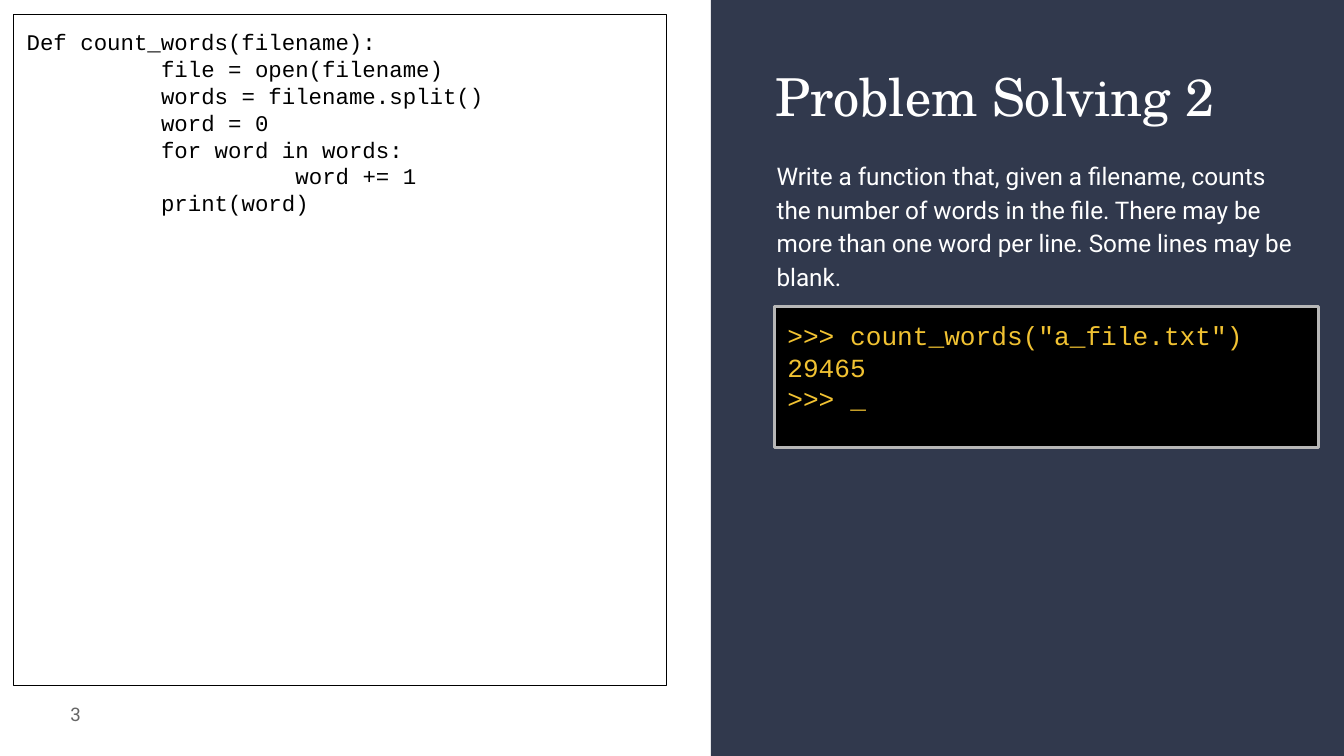
from pptx import Presentation
from pptx.dml.color import RGBColor
from pptx.enum import shapes, text
from pptx.util import Inches, Pt

WHITE = RGBColor(0xFF, 0xFF, 0xFF)
BLACK = RGBColor(0, 0, 0)
NAVY = RGBColor(0x31, 0x39, 0x4D)
GREY = RGBColor(0x66, 0x66, 0x66)
SILVER = RGBColor(0xB7, 0xB7, 0xB7)
AMBER = RGBColor(0xF1, 0xC2, 0x32)

PAGE_WIDTH = 10
PAGE_HEIGHT = PAGE_WIDTH * 9 / 16

CODE = """Def count_words(filename):
\tfile = open(filename)
\twords = filename.split()
\tword = 0
\tfor word in words:
\t\tword += 1
\tprint(word)"""
SESSION = """>>> count_words("a_file.txt")
29465
>>> """
TASK = ("Write a function that, given a filename, counts the number of words in the file. "
        "There may be more than one word per line. Some lines may be blank.")


def write(shape, words, font, size, color, align=text.PP_ALIGN.LEFT,
          anchor=text.MSO_ANCHOR.TOP):
    frame = shape.text_frame
    frame.text = words
    frame.word_wrap = True
    frame.auto_size = text.MSO_AUTO_SIZE.NONE
    frame.vertical_anchor = anchor
    frame.margin_left = frame.margin_right = Inches(0.1)
    frame.margin_top = frame.margin_bottom = Inches(0.1)
    for para in frame.paragraphs:
        para.alignment = align
        for span in para.runs:
            style(span, font, size, color)
    return frame


def style(span, font, size, color):
    span.font.name = font
    span.font.size = Pt(size)
    span.font.color.rgb = color


def add_box(page, left, top, width, height, fill=None, line=None, weight=0.75):
    """Add a rectangle; a missing fill or line stays empty."""
    box = page.shapes.add_shape(shapes.MSO_SHAPE.RECTANGLE, Inches(left), Inches(top),
                                Inches(width), Inches(height))
    box.shadow.inherit = False
    if fill is None:
        box.fill.background()
    else:
        box.fill.solid()
        box.fill.fore_color.rgb = fill
    if line is None:
        box.line.fill.background()
    else:
        box.line.color.rgb = line
        box.line.width = Pt(weight)
    return box


def add_text(page, left, top, width, height):
    return page.shapes.add_textbox(Inches(left), Inches(top), Inches(width), Inches(height))


def add_code_area(page, left, top, width, height):
    box = add_box(page, left, top, width, height, line=BLACK)
    frame = write(box, CODE, "Courier New", 12, BLACK)
    for para in frame.paragraphs:
        para._p.get_or_add_pPr().set("defTabSz", str(Inches(1)))
    number = add_text(page, left, top + height, 0.6, 0.43)
    write(number, "3", "Roboto", 10, GREY, text.PP_ALIGN.RIGHT, text.MSO_ANCHOR.MIDDLE)


def add_task_panel(page, left, top, width, height):
    panel = add_box(page, left, top, width, height, fill=NAVY)
    # The title placeholder comes first, so the panel goes behind it.
    page.shapes.title._element.addprevious(panel._element)

    title = page.shapes.title
    title.left, title.top = Inches(left + 0.38), Inches(top + 0.38)
    title.width, title.height = Inches(4.05), Inches(0.7)
    write(title, "Problem Solving 2", "TeX Gyre Schola", 28, WHITE)

    task = add_text(page, left + 0.39, top + 1.07, 4.05, 1.01)
    para = write(task, TASK, "Roboto", 13, WHITE).paragraphs[0]
    para.line_spacing = 1.15
    para.space_after = Pt(16)

    console = add_box(page, left + 0.47, top + 2.28, 4.05, 1.05, BLACK, SILVER, 1.5)
    frame = write(console, SESSION, "Courier New", 14, AMBER)
    cursor = frame.paragraphs[-1].add_run()
    cursor.text = "_"
    style(cursor, "Courier New", 14, AMBER)
    cursor.font.bold = True


def main():
    deck = Presentation()
    deck.slide_width, deck.slide_height = Inches(PAGE_WIDTH), Inches(PAGE_HEIGHT)
    page = deck.slides.add_slide(deck.slide_layouts[5])
    add_task_panel(page, 5.29, 0, PAGE_WIDTH - 5.29, PAGE_HEIGHT)
    add_code_area(page, 0.1, 0.11, 4.86, 4.99)
    deck.save("out.pptx")


if __name__ == "__main__":
    main()
